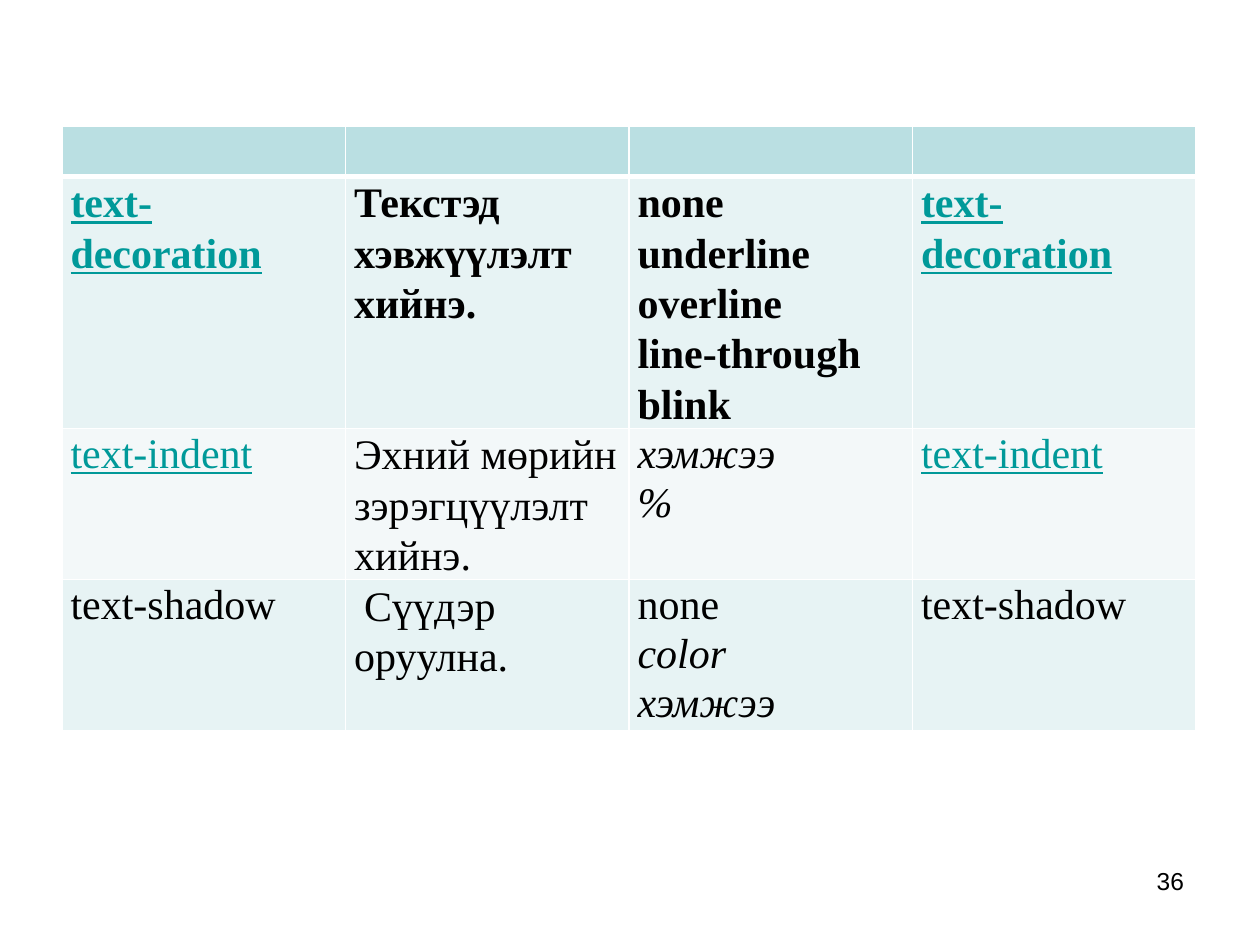
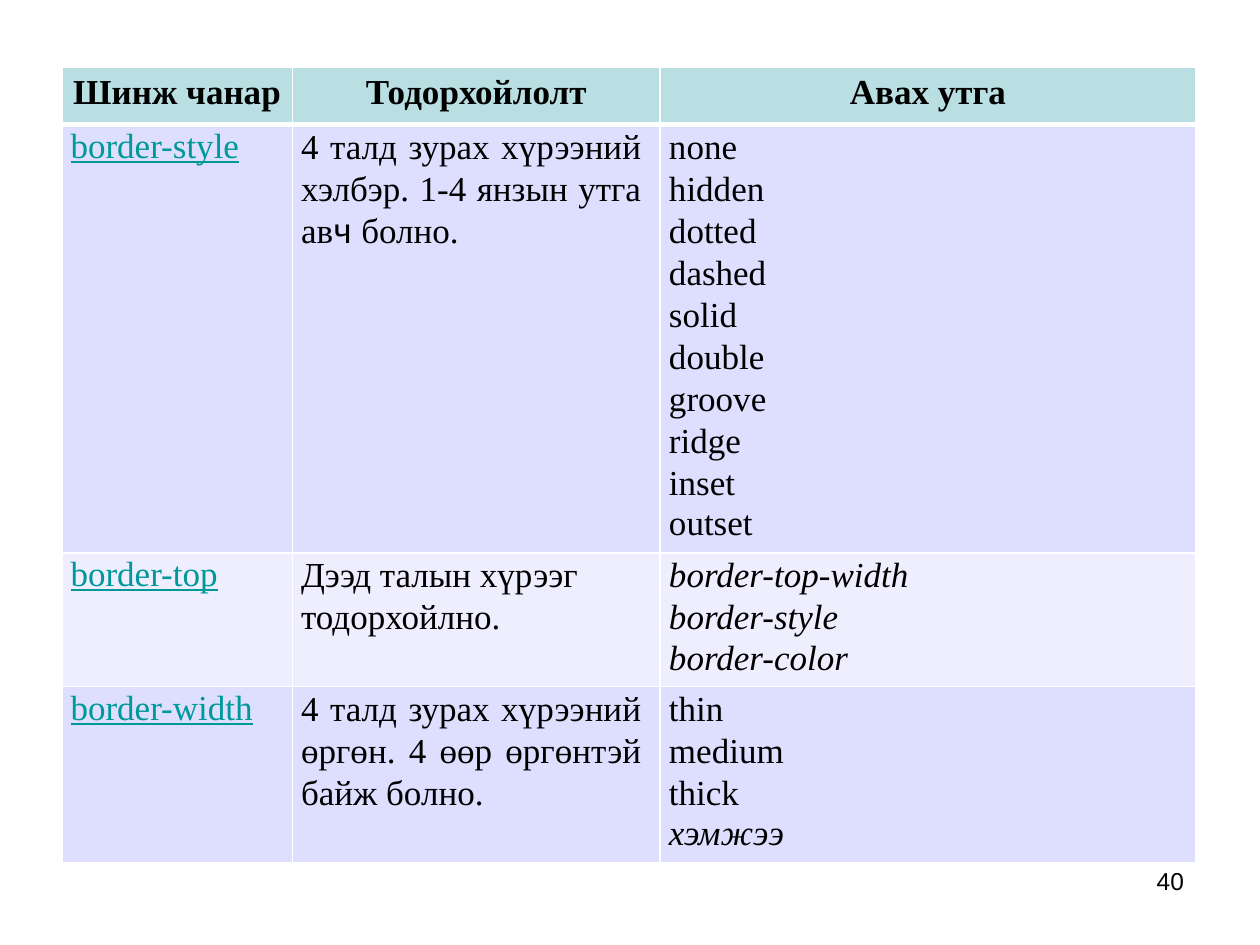
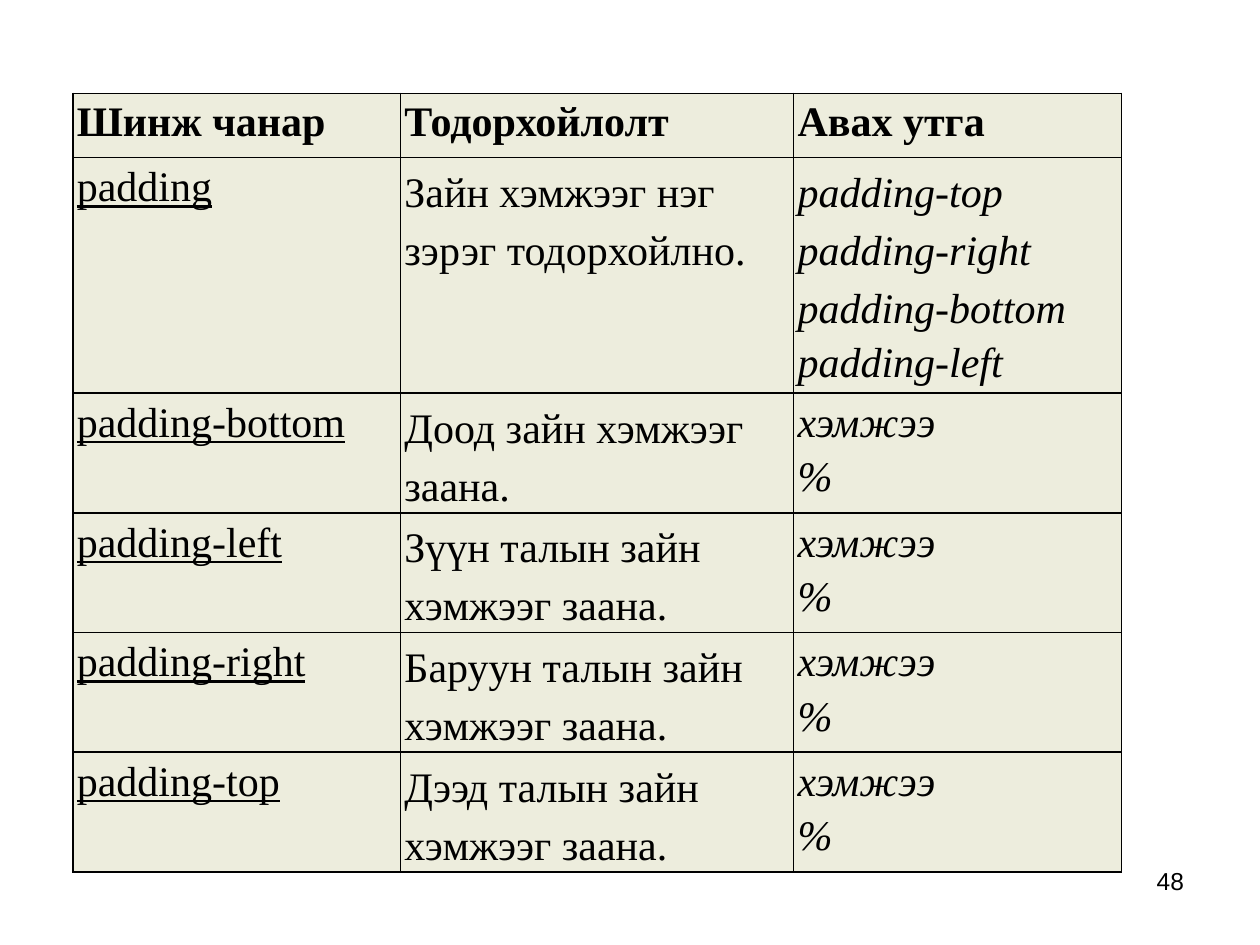
from lxml import etree
from pptx import Presentation
from pptx import util as u
from pptx.dml.color import RGBColor
from pptx.enum import text
from pptx.oxml import ns

COLORS = {
    "ink": "000000", "link": "009999", "white": "FFFFFF", "head": "BADFE2",
    "mint": "E7F3F4", "pale_mint": "F3F8F9",
    "lilac": "DEDEFF", "pale_lilac": "EEEEFF", "sand": "EDEDDD",
}
HEADINGS = ["Шинж чанар", "Тодорхойлолт", "Авах утга"]
SIZES = "/хэмжээ\n/%"

TABLES = [
    {
        "page": "36", "left": 0.49, "top": 1, "size": 24, "inset": 0.07,
        "cols": [2.25] * 4, "rows": [0.4, 2, 1.2, 1.2],
        "fills": ["head", "mint", "pale_mint", "mint"],
        "line": "white", "link": "link", "rule": 3, "bold": 1,
        "leading": [28, 28.8, 28, 28], "special": {(1, 0): 28.8, (1, 2): 28.8, (1, 3): 28.8},
        "last": 28, "justify": [], "indent": (3, 1), "tops": [0, 0, 0, 0],
        "cells": [
            ["", "", "", ""],
            ["_text- decoration", "Текстэд хэвжүүлэлт хийнэ.",
             "none\nunderline\noverline\nline-through\nblink", "_text- decoration"],
            ["_text-indent", "Эхний мөрийн зэрэгцүүлэлт\nхийнэ.", SIZES, "_text-indent"],
            ["text-shadow", "Сүүдэр оруулна.", "none\n/color\n/хэмжээ", "text-shadow"],
        ],
    },
    {
        "page": "40", "left": 0.49, "top": 0.53, "size": 20, "inset": 0.07,
        "cols": [1.83, 2.92, 4.25], "rows": [0.46, 3.4, 1.06, 1.4],
        "fills": ["head", "lilac", "pale_lilac", "lilac"],
        "line": "white", "link": "link", "rule": 3, "bold": 0,
        "leading": [23.4, 24, 24], "special": {},
        "last": 23.2, "justify": [(1, 1), (3, 1)], "indent": None, "tops": [0, 0, 0],
        "cells": [
            HEADINGS,
            ["_border-style", "4 талд зурах хүрээний хэлбэр. 1-4 янзын утга ав|ч |болно.",
             "none\nhidden\ndotted\ndashed\nsolid\ndouble\ngroove\nridge\ninset\noutset"],
            ["_border-top", "Дээд талын хүрээг тодорхойлно.",
             "/border-top-width\n/border-style\n/border-color"],
            ["_border-width", "4 талд зурах хүрээний өргөн. 4 өөр өргөнтэй байж болно.",
             "thin\nmedium\nthick\n/хэмжээ"],
        ],
    },
    {
        "page": "48", "left": 0.58, "top": 0.74, "size": 24, "inset": 0.03,
        "cols": [2.6, 3.12, 2.6], "rows": [0.51, 1.87] + [0.95] * 4,
        "fills": ["sand"] * 6,
        "line": "ink", "link": "ink", "rule": 1, "bold": 0,
        "leading": [27.6, 33.1, 27.6], "special": {(1, 2): 33.1},
        "last": 31, "justify": [], "indent": None, "tops": [0.04, 0.01, 0.04],
        "cells": [
            HEADINGS,
            ["_padding", "Зайн хэмжээг нэг зэрэг тодорхойлно.",
             "/padding-top\n/padding-right\n/padding-bottom\n/padding-left"],
            ["_padding-bottom", "Доод зайн хэмжээг заана.", SIZES],
            ["_padding-left", "Зүүн талын зайн хэмжээг заана.", SIZES],
            ["_padding-right", "Баруун талын зайн хэмжээг заана.", SIZES],
            ["_padding-top", "Дээд талын зайн хэмжээг заана.", SIZES],
        ],
    },
]


def set_font(r, name, size, color):
    r.font.name = name
    r.font.size = u.Pt(size)
    r.font.color.rgb = RGBColor.from_string(COLORS[color])


def set_borders(cell, color, widths):
    tcPr = cell._tc.get_or_add_tcPr()
    for side, width in zip("LRTB", widths):
        ln = etree.SubElement(tcPr, ns.qn(f"a:ln{side}"), w=str(u.Pt(width)))
        fill = etree.SubElement(ln, ns.qn("a:solidFill"))
        etree.SubElement(fill, ns.qn("a:srgbClr"), val=COLORS[color])


prs = Presentation()
prs.slide_width, prs.slide_height = u.Inches(10), u.Inches(7.5)

for spec in TABLES:
    s = prs.slides.add_slide(prs.slide_layouts[6])

    tf = s.shapes.add_textbox(u.Inches(9.14), u.Inches(6.88), u.Inches(0.31), u.Inches(0.25)).text_frame
    tf.margin_left = u.Inches(0.04)
    tf.margin_top = tf.margin_right = tf.margin_bottom = 0
    tf.word_wrap = True
    tf.text = spec["page"]
    tf.paragraphs[0].line_spacing = u.Pt(16.5)
    set_font(tf.paragraphs[0].runs[0], "Arial", 14, "ink")

    cols, rows = spec["cols"], spec["rows"]
    table = s.shapes.add_table(len(rows), len(cols), u.Inches(spec["left"]), u.Inches(spec["top"]),
                               u.Inches(sum(cols)), u.Inches(sum(rows))).table
    table.first_row = table.horz_banding = False
    for column, width in zip(table.columns, cols):
        column.width = u.Inches(width)

    for i, height in enumerate(rows):
        table.rows[i].height = u.Inches(height)
        for j, content in enumerate(spec["cells"][i]):
            cell = table.cell(i, j)
            top_rule = spec["rule"] if i == 1 else 1
            bottom_rule = spec["rule"] if i == 0 else 1
            set_borders(cell, spec["line"], (1, 1, top_rule, bottom_rule))
            cell.fill.solid()
            cell.fill.fore_color.rgb = RGBColor.from_string(COLORS[spec["fills"][i]])
            centred = i == 0 and spec["rule"] == 3
            justified = (i, j) in spec["justify"]
            cell.margin_left = 0 if centred else u.Inches(spec["inset"])
            cell.margin_right = u.Inches(0.15 if justified else 0)
            cell.margin_bottom = 0
            top = spec["tops"][j]
            if (i, j) in spec["special"]:
                top = min(top, 0.01)
            if i == 0 and content:
                top = 0.05
            cell.margin_top = u.Inches(top)

            lines = content.split("\n")
            tf = cell.text_frame
            for n, line in enumerate(lines):
                p = tf.paragraphs[0] if n == 0 else tf.add_paragraph()
                if centred:
                    p.alignment = text.PP_ALIGN.CENTER
                if justified:
                    p.alignment = text.PP_ALIGN.JUSTIFY
                if i > 0:
                    leading = spec["special"].get((i, j), spec["leading"][j])
                    if j == 2 and n == len(lines) - 1 and i != spec["bold"]:
                        leading = spec["last"]
                    p.line_spacing = u.Pt(leading)
                if (i, j) == spec["indent"]:
                    p._p.get_or_add_pPr().set("indent", str(u.Inches(0.08)))
                linked, italic = line.startswith("_"), line.startswith("/")
                for k, piece in enumerate(line.lstrip("_/").split("|")):
                    if not piece:
                        continue
                    r = p.add_run()
                    r.text = piece
                    set_font(r, "Arial" if k % 2 else "Times New Roman", spec["size"],
                             spec["link"] if linked else "ink")
                    r.font.bold = i == spec["bold"]
                    r.font.italic = italic
                    r.font.underline = linked

prs.save("out.pptx")
